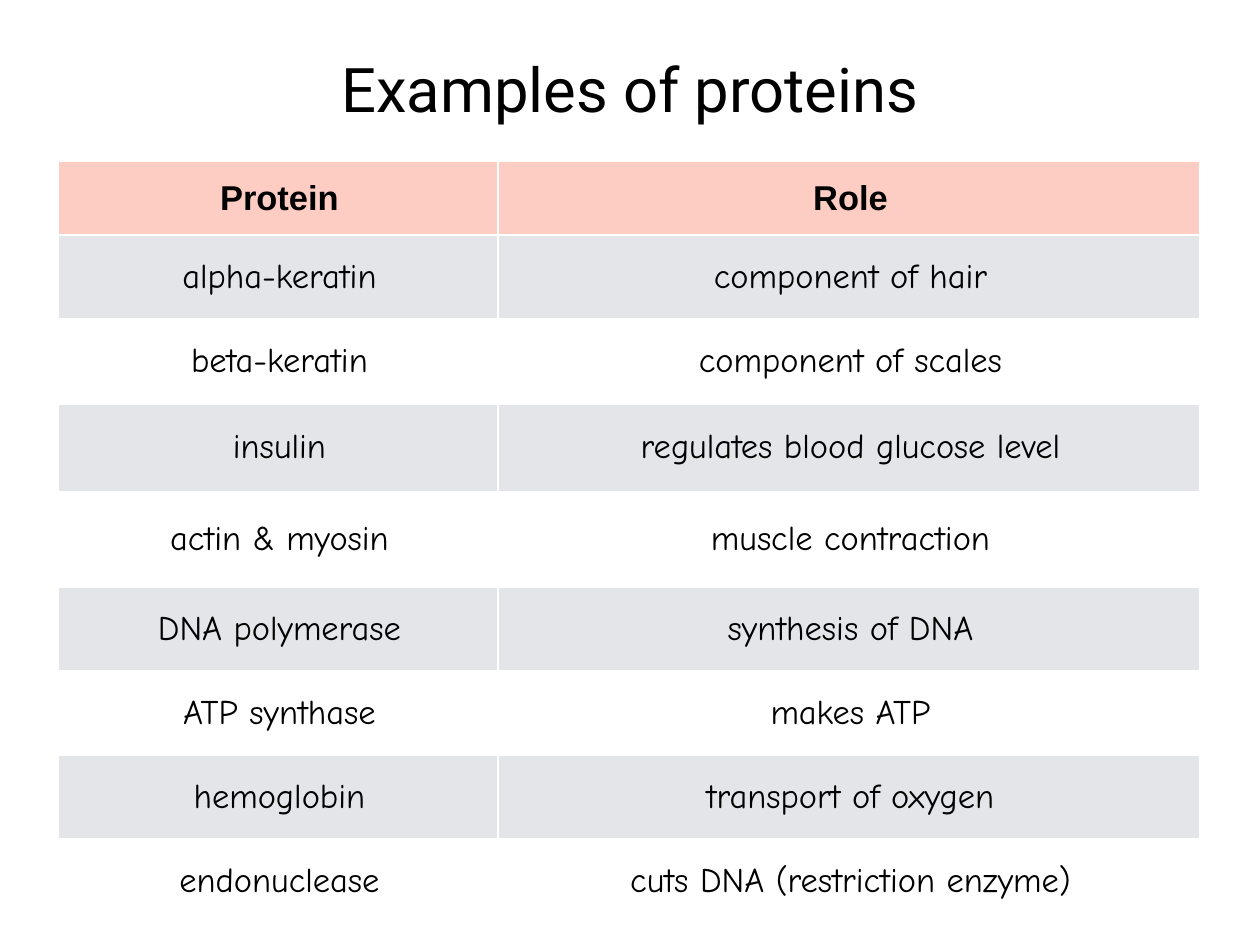
"""Build a slide with a table of example proteins and their roles."""
from lxml.etree import SubElement
from pptx import Presentation
from pptx.dml.color import RGBColor
from pptx.enum.text import MSO_ANCHOR as Anchor, PP_ALIGN as Align
from pptx.oxml.ns import qn
from pptx.util import Cm, Pt

TITLE = "Examples of proteins"
ROWS = [
    ("Protein", "Role"),
    ("alpha-keratin", "component of hair"),
    ("beta-keratin", "component of scales"),
    ("insulin", "regulates blood glucose level"),
    ("actin & myosin", "muscle contraction"),
    ("DNA polymerase", "synthesis of DNA"),
    ("ATP synthase", "makes ATP"),
    ("hemoglobin", "transport of oxygen"),
    ("endonuclease", "cuts DNA (restriction enzyme)"),
]
COLUMN_WIDTHS = (12.62, 20.12)
ROW_HEIGHTS = (2.13, 2.41, 2.41, 2.54, 2.72, 2.41, 2.41, 2.41, 2.41)

BLACK = RGBColor(0x00, 0x00, 0x00)
WHITE = RGBColor(0xFF, 0xFF, 0xFF)
PINK = RGBColor(0xFD, 0xCD, 0xC4)
GREY = RGBColor(0xE3, 0xE5, 0xE8)


def format_text(text_frame, font_name, size, bold=False):
    paragraph = text_frame.paragraphs[0]
    paragraph.alignment = Align.CENTER
    font = paragraph.runs[0].font
    font.name, font.size, font.bold = font_name, Pt(size), bold
    font.color.rgb = BLACK


def add_borders(cell, color, width):
    properties = cell._tc.get_or_add_tcPr()
    for position, side in enumerate(("lnL", "lnR", "lnT", "lnB")):
        line = SubElement(properties, qn(f"a:{side}"), w=str(Pt(width)))
        fill = SubElement(line, qn("a:solidFill"))
        SubElement(fill, qn("a:srgbClr"), val=str(color))
        properties.insert(position, line)


def add_title(slide):
    title = slide.shapes.add_textbox(Cm(2.64), Cm(1.24), Cm(30.84), Cm(2.54))
    frame = title.text_frame
    frame.word_wrap = True
    frame.vertical_anchor = Anchor.MIDDLE
    frame.margin_left = frame.margin_right = 0
    frame.margin_top = frame.margin_bottom = 0
    frame.text = TITLE
    format_text(frame, "Roboto", 50)


def add_protein_table(slide):
    table = slide.shapes.add_table(
        len(ROWS), len(COLUMN_WIDTHS), Cm(1.65), Cm(4.62),
        Cm(sum(COLUMN_WIDTHS)), Cm(sum(ROW_HEIGHTS))).table
    for column, width in zip(table.columns, COLUMN_WIDTHS):
        column.width = Cm(width)
    for row, height in zip(table.rows, ROW_HEIGHTS):
        row.height = Cm(height)
    for row_index, texts in enumerate(ROWS):
        header = row_index == 0
        fill_color = PINK if header else GREY if row_index % 2 else WHITE
        for column_index, text in enumerate(texts):
            cell = table.cell(row_index, column_index)
            cell.text_frame.text = text
            cell.vertical_anchor = Anchor.MIDDLE
            cell.margin_left = Cm(0.2)
            cell.margin_right = cell.margin_top = cell.margin_bottom = Cm(0.1)
            cell.fill.solid()
            cell.fill.fore_color.rgb = fill_color
            add_borders(cell, WHITE, 2)
            format_text(cell.text_frame, "Arial" if header else "Comic Neue", 28, header)


def main():
    presentation = Presentation()
    presentation.slide_width, presentation.slide_height = Cm(36.12), Cm(27.1)
    slide = presentation.slides.add_slide(presentation.slide_layouts[6])
    add_title(slide)
    add_protein_table(slide)
    presentation.save("out.pptx")


if __name__ == "__main__":
    main()
